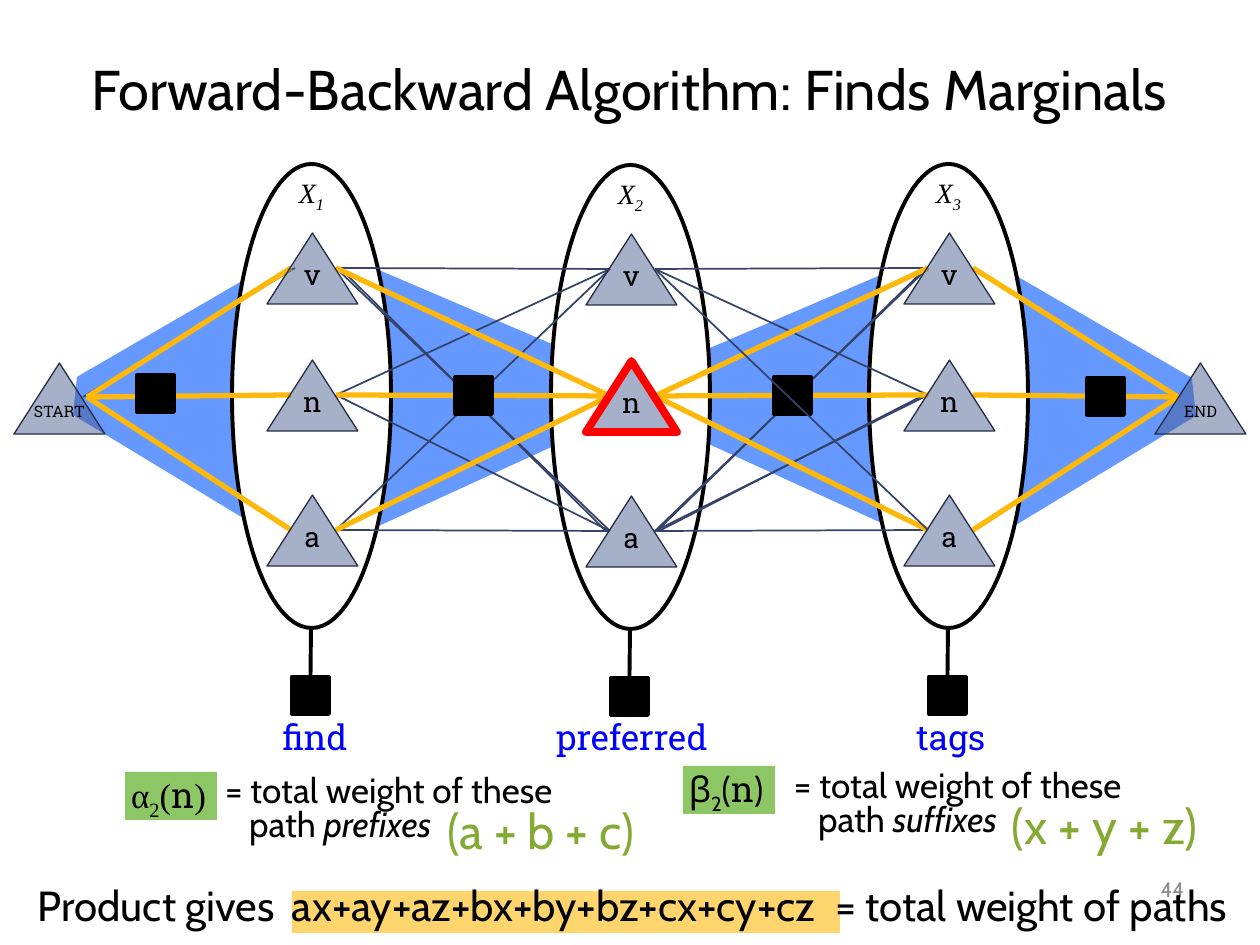
from dataclasses import dataclass
from typing import NamedTuple

from lxml import etree
from pptx import Presentation
from pptx.dml.color import RGBColor
from pptx.enum.shapes import MSO_CONNECTOR, MSO_SHAPE
from pptx.enum.text import MSO_ANCHOR, PP_ALIGN
from pptx.oxml.ns import qn
from pptx.util import Pt

STRAIGHT = MSO_CONNECTOR.STRAIGHT
OVAL, TRIANGLE, RECTANGLE = MSO_SHAPE.OVAL, MSO_SHAPE.ISOSCELES_TRIANGLE, MSO_SHAPE.RECTANGLE
TOP, MIDDLE, BOTTOM = MSO_ANCHOR.TOP, MSO_ANCHOR.MIDDLE, MSO_ANCHOR.BOTTOM
LEFT, CENTER, RIGHT = PP_ALIGN.LEFT, PP_ALIGN.CENTER, PP_ALIGN.RIGHT

BLACK = RGBColor(0, 0, 0)
WHITE = RGBColor(255, 255, 255)
RED = RGBColor(255, 0, 0)
WORD_BLUE = RGBColor(0, 0, 255)
CONE_BLUE = RGBColor(0x66, 0x99, 0xFF)
STATE_BLUE = RGBColor(0x47, 0x5A, 0x8D)
OUTLINE = RGBColor(0x24, 0x2D, 0x46)
NAVY = RGBColor(0x35, 0x43, 0x6A)
GOLD = RGBColor(0xFE, 0xB8, 0x0A)
HIGHLIGHT = RGBColor(0xFE, 0xD4, 0x6C)
LABEL_GREEN = RGBColor(0x8D, 0xC7, 0x65)
SUM_GREEN = RGBColor(0x84, 0xAA, 0x33)
GRAY = RGBColor(0x8C, 0x8C, 0x8C)

CABIN, SLAB, TIMES = "Cabin", "Roboto Slab", "Times New Roman"
EMU_PER_PX = 914400 / 126
INSETS = (13, 6, 13, 6)
TIGHT = (6, 6, 6, 6)
SQUARE = 37
ROWS = {"v": 69, "n": 196, "a": 331}
START, END = (87, 397), (1178, 397)


class Rect(NamedTuple):
    left: int
    top: int
    width: int
    height: int


class Span(NamedTuple):
    text: str
    size: int
    font: str = CABIN
    color: RGBColor = BLACK
    italic: bool = False
    subscript: bool = False


@dataclass(frozen=True)
class Column:
    number: str
    word: str
    left: int
    top: int
    word_left: int
    word_width: int

    def entry(self, state: str) -> tuple[int, int]:
        return self.left + 59, self.top + ROWS[state] + 35

    def exit(self, state: str) -> tuple[int, int]:
        return self.left + 104, self.top + ROWS[state] + 35


class Edge(NamedTuple):
    start: tuple[int, int]
    end: tuple[int, int]
    color: RGBColor = NAVY
    nudge: int = 0


FIRST = Column("1", "find", 232, 164, 261, 108)
SECOND = Column("2", "preferred", 551, 165, 537, 190)
THIRD = Column("3", "tags", 869, 164, 878, 146)
COLUMNS = (FIRST, SECOND, THIRD)


def emu(px: float) -> int:
    return round(px * EMU_PER_PX)


def write(box, paragraphs: list[list[Span]], align=LEFT, anchor=TOP, insets=INSETS,
          wrap=True, spacing=1.0) -> None:
    frame = box.text_frame
    frame.word_wrap = wrap
    frame.vertical_anchor = anchor
    frame.margin_left, frame.margin_top, frame.margin_right, frame.margin_bottom = map(emu, insets)
    for index, spans in enumerate(paragraphs):
        para = frame.add_paragraph() if index else frame.paragraphs[0]
        para.alignment = align
        para.line_spacing = spacing
        for span in spans:
            run = para.add_run()
            run.text = span.text
            run.font.size = Pt(span.size)
            run.font.name = span.font
            run.font.color.rgb = span.color
            run.font.italic = span.italic
            if span.subscript:
                run._r.get_or_add_rPr().set("baseline", "-25000")


def add_text(page, rect: Rect, paragraphs: list[list[Span]], **layout):
    box = page.shapes.add_textbox(*map(emu, rect))
    write(box, paragraphs, **layout)
    return box


def paint(shape, fill: RGBColor, line: RGBColor | None = None, width: float = 0) -> None:
    shape.shadow.inherit = False
    shape.fill.solid()
    shape.fill.fore_color.rgb = fill
    if line is None:
        shape.line.fill.background()
    else:
        shape.line.color.rgb = line
        shape.line.width = Pt(width)


def add_shape(page, kind, rect: Rect, fill: RGBColor, line: RGBColor | None = None, width: float = 0):
    shape = page.shapes.add_shape(kind, *map(emu, rect))
    paint(shape, fill, line, width)
    return shape


def add_line(page, start: tuple[int, int], end: tuple[int, int], color: RGBColor, width: float):
    line = page.shapes.add_connector(STRAIGHT, *map(emu, (*start, *end)))
    line.line.color.rgb = color
    line.line.width = Pt(width)
    etree.SubElement(line._element.spPr, qn("a:effectLst"))
    return line


def add_edge(page, edge: Edge) -> None:
    start = edge.start[0] + edge.nudge, edge.start[1]
    end = edge.end[0] - edge.nudge, edge.end[1]
    add_line(page, start, end, edge.color, 3 if edge.color == GOLD else 1)


def add_cone(page, points: list[tuple[int, int]]) -> None:
    corners = [(emu(x), emu(y)) for x, y in points]
    builder = page.shapes.build_freeform(*corners[0])
    builder.add_line_segments(corners[1:], close=True)
    paint(builder.convert_to_shape(), CONE_BLUE)


def add_state(page, left: int, top: int, label: str, size: int = 16, marked: bool = False) -> None:
    triangle = add_shape(page, TRIANGLE, Rect(left, top, 91, 71), STATE_BLUE,
                         RED if marked else OUTLINE, 4.5 if marked else 0.75)
    color = triangle.fill._xPr.find(qn("a:solidFill"))[0]
    etree.SubElement(color, qn("a:alpha")).set("val", "48000")
    write(triangle, [[Span(label, size, SLAB)]], align=CENTER, anchor=BOTTOM,
          insets=(0, 0, 0, 13), wrap=False)


def add_square(page, left: int, top: int):
    return add_shape(page, RECTANGLE, Rect(left, top, SQUARE, SQUARE), BLACK, BLACK, 2.25)


def add_definition(page, rect: Rect, symbol: str, font: str, text_left: int, text_top: int,
                   kind: str, total: str, total_left: int, total_top: int) -> None:
    label = add_shape(page, RECTANGLE, rect, LABEL_GREEN)
    write(label, [[Span(symbol, 20, font), Span("2", 20, font, subscript=True), Span("(", 20, font),
                   Span("n", 20, SLAB), Span(")", 20, font)]], insets=TIGHT, spacing=0.8)
    meaning = add_text(page, Rect(text_left, text_top, 358, 113),
                       [[Span("= total weight of these", 20)],
                        [Span("path ", 20), Span(kind, 20, italic=True)]], insets=TIGHT, spacing=0.8)
    meaning.text_frame.paragraphs[1]._p.get_or_add_pPr().set("marL", str(emu(24)))
    add_text(page, Rect(total_left, total_top, 225, 72), [[Span(total, 28, color=SUM_GREEN)]], wrap=False)


def add_product(page) -> None:
    add_shape(page, RECTANGLE, Rect(292, 891, 548, 42), HIGHLIGHT)
    box = add_text(page, Rect(25, 874, 1244, 63),
                   [[Span("Product gives\tax+ay+az+bx+by+bz+cx+cy+cz\t= total weight of paths", 24)]])
    tabs = etree.SubElement(box.text_frame.paragraphs[0]._p.get_or_add_pPr(), qn("a:tabLst"))
    for position in (254, 797):
        etree.SubElement(tabs, qn("a:tab"), pos=str(emu(position)), algn="l")


def add_lattice(page) -> None:
    cone = [(73, 415), (309, 558), (626, 413), (629, 377), (311, 241), (77, 377)]
    add_cone(page, cone)
    add_cone(page, [(1269 - x, y + 1) for x, y in cone])

    for column in COLUMNS:
        oval = add_shape(page, OVAL, Rect(column.left, column.top, 159, 464), WHITE, BLACK, 2.25)
        write(oval, [[Span("X", 16, TIMES, italic=True),
                      Span(column.number, 16, TIMES, italic=True, subscript=True)]],
              align=CENTER, insets=(0, 0, 0, 441), wrap=False)

    doubled = [Edge(START, FIRST.entry("v"), nudge=-4), Edge(THIRD.exit("n"), END),
               Edge(FIRST.exit("v"), SECOND.entry("a"), nudge=4),
               Edge(SECOND.exit("a"), THIRD.entry("n"), nudge=4),
               Edge(SECOND.exit("a"), THIRD.entry("v"), nudge=2)]
    between = [Edge(source.exit(a), target.entry(b))
               for source, target in ((FIRST, SECOND), (SECOND, THIRD))
               for a in ROWS for b in ROWS
               if (b if target is SECOND else a) != "n"]
    crossing = Edge(SECOND.exit("v"), THIRD.entry("a"))
    weighted = [Edge(*ends, GOLD) for state in ROWS for ends in (
        (START, FIRST.entry(state)), (FIRST.exit(state), SECOND.entry("n")),
        (SECOND.exit("n"), THIRD.entry(state)), (THIRD.exit(state), END))]
    for edge in doubled + [edge for edge in between if edge != crossing] + weighted:
        add_edge(page, edge)

    for column in COLUMNS:
        for state, offset in ROWS.items():
            add_state(page, column.left + 35, column.top + offset, state,
                      marked=column is SECOND and state == "n")
    add_state(page, 14, 363, "START", 9)
    add_state(page, 1155, 363, "END", 9)

    for left, top in ((137, 375), (455, 377), (774, 377), (1087, 378)):
        add_square(page, left, top)
    add_edge(page, crossing)

    for column in COLUMNS:
        add_text(page, Rect(column.word_left, 712, column.word_width, 50),
                 [[Span(column.word, 20, SLAB, WORD_BLUE)]], align=CENTER, anchor=MIDDLE)
        square = add_square(page, column.left + 60, column.top + 513)
        stem = add_line(page, (column.left + 78, column.top + 513),
                        (column.left + 79, column.top + 464), BLACK, 2.25)
        stem.begin_connect(square, 0)


def main() -> None:
    deck = Presentation()
    deck.slide_width, deck.slide_height = emu(1260), emu(945)
    page = deck.slides.add_slide(deck.slide_layouts[6])
    add_lattice(page)
    add_text(page, Rect(63, 38, 1134, 100), [[Span("Forward-Backward Algorithm: Finds Marginals", 32)]],
             align=CENTER, anchor=MIDDLE)
    add_text(page, Rect(903, 864, 294, 50), [[Span("44", 12, color=GRAY)]], align=RIGHT, anchor=MIDDLE)
    add_definition(page, Rect(125, 772, 92, 48), "α", TIMES, 219, 771, "prefixes", "(a + b + c)", 435, 794)
    add_definition(page, Rect(683, 766, 92, 48), "β", CABIN, 788, 766, "suffixes", "(x + y + z)", 999, 789)
    add_product(page)
    deck.save("out.pptx")


if __name__ == "__main__":
    main()
